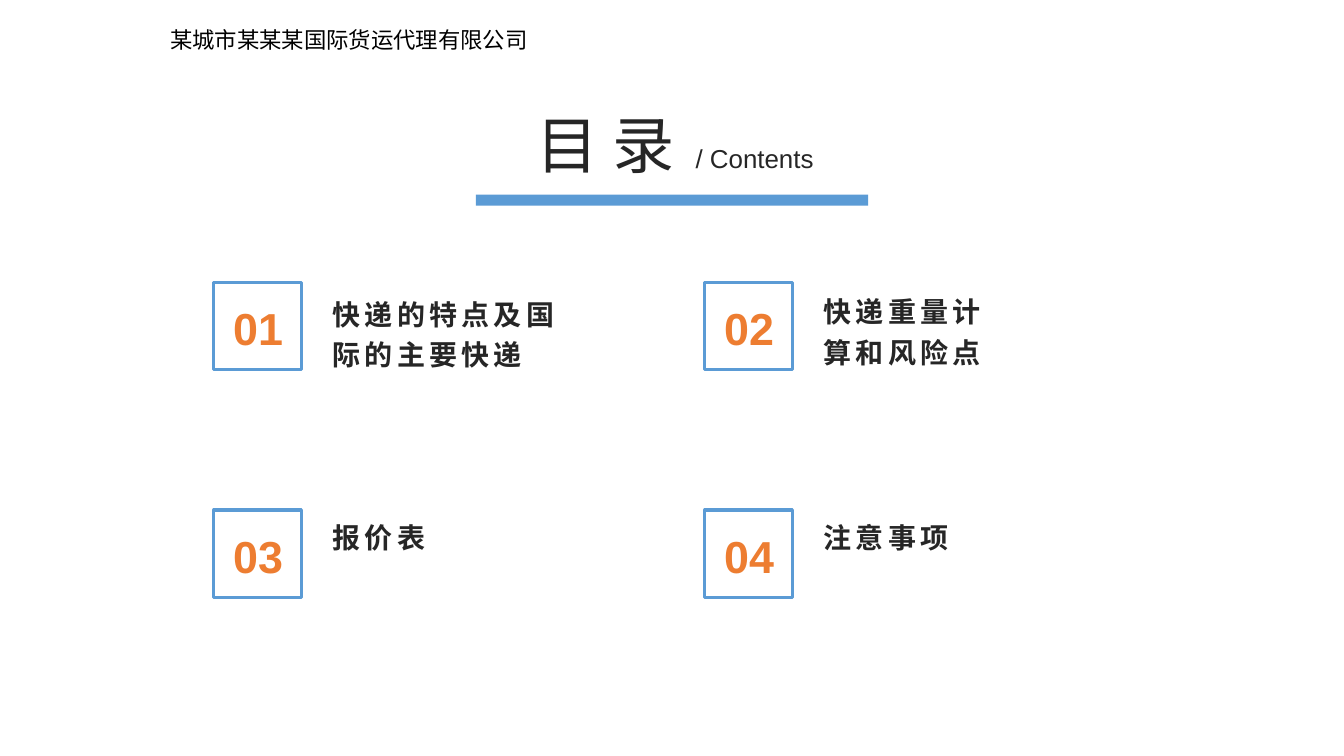
from dataclasses import dataclass

from pptx import Presentation
from pptx.dml.color import RGBColor
from pptx.enum.shapes import MSO_SHAPE
from pptx.enum.text import MSO_ANCHOR, MSO_AUTO_SIZE, PP_ALIGN
from pptx.shapes.autoshape import Shape
from pptx.slide import Slide
from pptx.util import Inches, Pt

RECTANGLE = MSO_SHAPE.RECTANGLE
TOP, MIDDLE, BOTTOM = MSO_ANCHOR.TOP, MSO_ANCHOR.MIDDLE, MSO_ANCHOR.BOTTOM
LEFT, CENTER, RIGHT = PP_ALIGN.LEFT, PP_ALIGN.CENTER, PP_ALIGN.RIGHT
NO_AUTO_SIZE = MSO_AUTO_SIZE.NONE
FIT_SHAPE = MSO_AUTO_SIZE.SHAPE_TO_FIT_TEXT

BLACK = RGBColor(0x00, 0x00, 0x00)
DARK = RGBColor(0x26, 0x26, 0x26)
BLUE = RGBColor(0x5B, 0x9B, 0xD5)
ORANGE = RGBColor(0xED, 0x7D, 0x31)

# Grid of the contents entries, in inches
COLUMN_LEFTS = (2.12, 6.99)
ROW_TOPS = (2.8, 5.06)
FRAME_SIZE = 0.87
LABEL_OFFSET = 1.08


@dataclass(frozen=True)
class TextStyle:
    size: float
    color: RGBColor = DARK
    font: str = "Arial"
    bold: bool = False
    align: PP_ALIGN = LEFT
    anchor: MSO_ANCHOR = TOP
    line_spacing: float = 1.0
    letter_spacing: int = 0


@dataclass(frozen=True)
class ContentsEntry:
    label: str
    label_top: float
    label_width: float
    label_height: float


COMPANY_STYLE = TextStyle(16, BLACK, "Calibri")
TITLE_STYLE = TextStyle(44.4, align=RIGHT, anchor=BOTTOM, line_spacing=1.1)
SUBTITLE_STYLE = TextStyle(18.5)
NUMBER_STYLE = TextStyle(32, ORANGE, bold=True, align=CENTER, anchor=MIDDLE)
LABEL_STYLE = TextStyle(20, bold=True, anchor=MIDDLE, line_spacing=1.2,
                        letter_spacing=3)

ENTRIES = (
    ContentsEntry("快递的特点及国际的主要快递", 2.78, 2.51, 0.96),
    ContentsEntry("快递重量计算和风险点", 2.8, 1.95, 0.87),
    ContentsEntry("报价表", 5.04, 3.14, 0.46),
    ContentsEntry("注意事项", 5.04, 3.14, 0.46),
)


def place(shape: Shape, left: float, top: float, width: float, height: float) -> None:
    shape.left, shape.top = Inches(left), Inches(top)
    shape.width, shape.height = Inches(width), Inches(height)


def write_text(shape: Shape, text: str, style: TextStyle) -> None:
    text_frame = shape.text_frame
    text_frame.text = text
    text_frame.word_wrap = True
    text_frame.auto_size = NO_AUTO_SIZE
    text_frame.vertical_anchor = style.anchor
    paragraph = text_frame.paragraphs[0]
    paragraph.alignment = style.align
    paragraph.line_spacing = style.line_spacing
    for run in paragraph.runs:
        run.font.size = Pt(style.size)
        run.font.name = style.font
        run.font.bold = style.bold
        run.font.color.rgb = style.color
        if style.letter_spacing:
            run.font._element.set("spc", str(style.letter_spacing * 100))


def add_text(slide: Slide, text: str, style: TextStyle, left: float, top: float,
             width: float, height: float) -> Shape:
    box = slide.shapes.add_textbox(0, 0, 0, 0)
    place(box, left, top, width, height)
    write_text(box, text, style)
    return box


def add_rectangle(slide: Slide, left: float, top: float, width: float,
                  height: float) -> Shape:
    rectangle = slide.shapes.add_shape(RECTANGLE, 0, 0, 0, 0)
    place(rectangle, left, top, width, height)
    rectangle.shadow.inherit = False
    return rectangle


def add_entry(slide: Slide, index: int, entry: ContentsEntry) -> None:
    row, column = divmod(index, len(COLUMN_LEFTS))
    left, top = COLUMN_LEFTS[column], ROW_TOPS[row]

    frame = add_rectangle(slide, left, top, FRAME_SIZE, FRAME_SIZE)
    frame.fill.background()
    frame.line.color.rgb = BLUE
    frame.line.width = Pt(2.25)

    label = add_text(slide, entry.label, LABEL_STYLE, left + LABEL_OFFSET,
                     entry.label_top, entry.label_width, entry.label_height)
    label.text_frame.margin_bottom = 0
    add_text(slide, f"{index + 1:02d}", NUMBER_STYLE, left + 0.09, top + 0.13, 0.7, 0.64)


def main() -> None:
    presentation = Presentation()
    presentation.slide_width = Inches(13.33)
    presentation.slide_height = Inches(7.5)
    slide = presentation.slides.add_slide(presentation.slide_layouts[5])

    # Company name
    company = add_text(slide, "某城市某某某国际货运代理有限公司", COMPANY_STYLE,
                       1.59, 0.21, 3.76, 0.37)
    company.text_frame.word_wrap = False
    company.text_frame.auto_size = FIT_SHAPE

    # Title with its underline
    title = slide.shapes.title
    place(title, 5.04, 0.94, 1.75, 0.91)
    write_text(title, "目 录", TITLE_STYLE)
    add_text(slide, "/ Contents", SUBTITLE_STYLE, 6.8, 1.37, 1.49, 0.44)
    underline = add_rectangle(slide, 4.72, 1.93, 3.89, 0.11)
    underline.fill.solid()
    underline.fill.fore_color.rgb = BLUE
    underline.line.fill.background()

    # Numbered entries
    for index, entry in enumerate(ENTRIES):
        add_entry(slide, index, entry)

    presentation.save("out.pptx")


if __name__ == "__main__":
    main()
